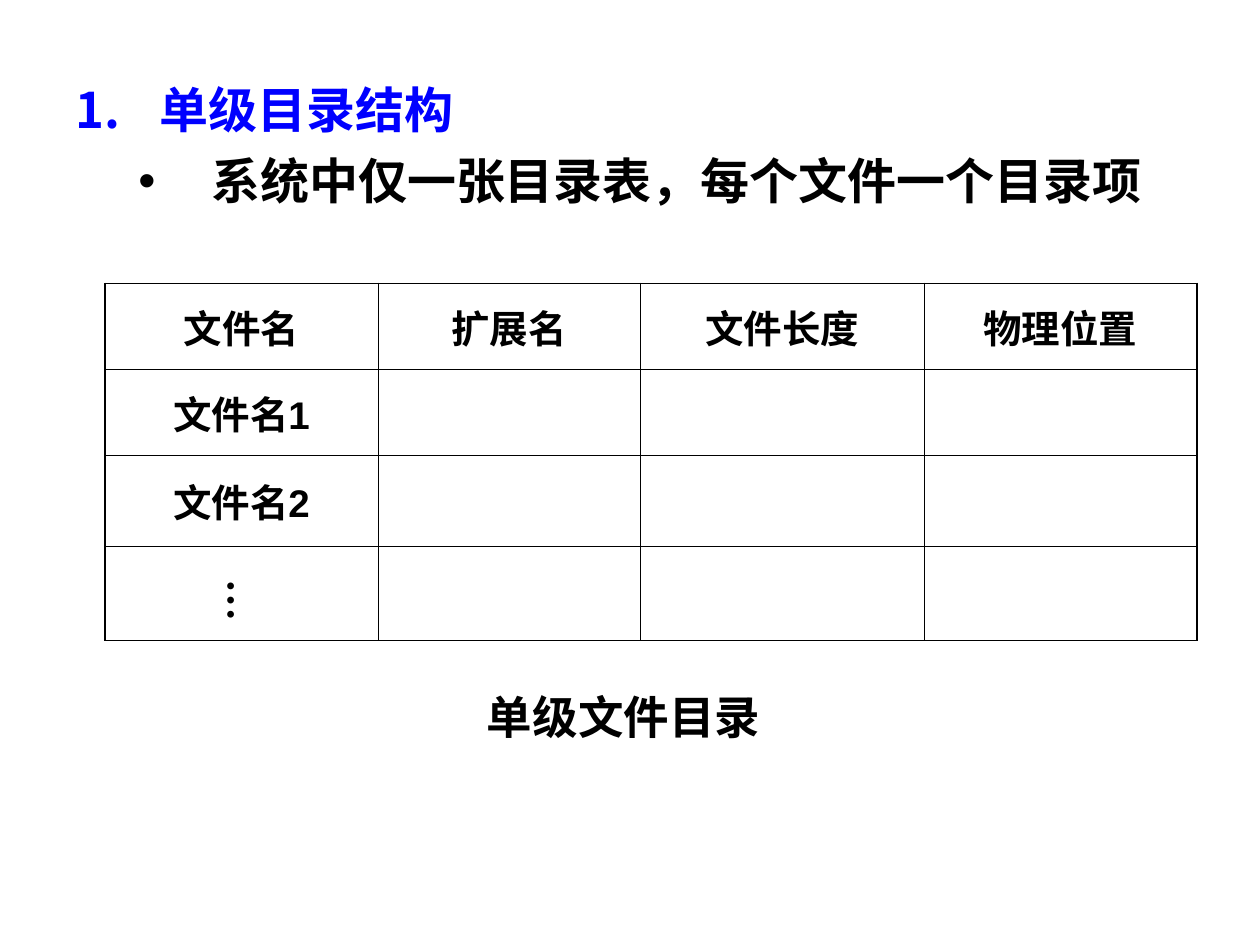
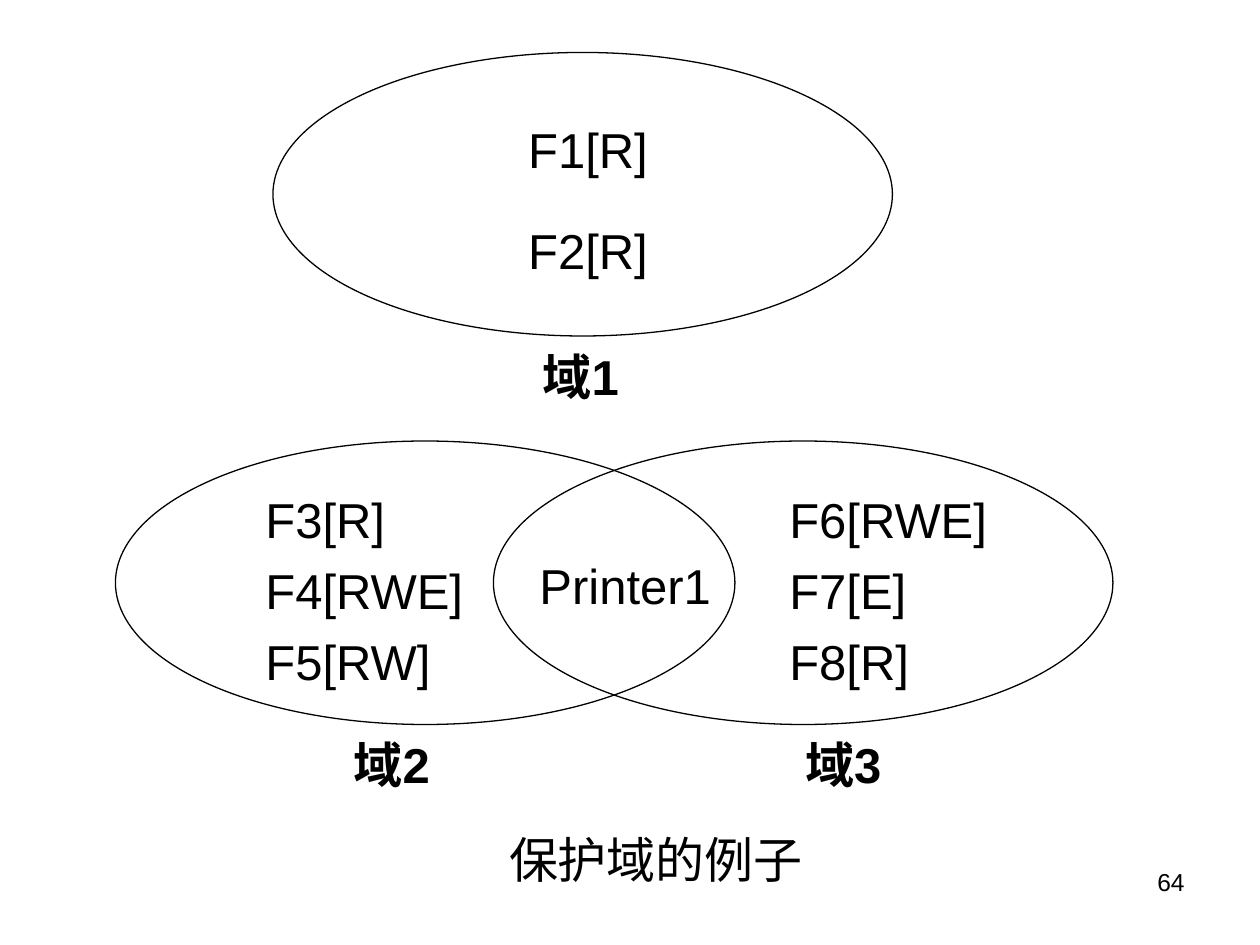
from lxml.etree import SubElement
from pptx import Presentation
from pptx.dml.color import RGBColor
from pptx.enum.lang import MSO_LANGUAGE_ID
from pptx.enum.shapes import MSO_SHAPE
from pptx.enum.text import MSO_ANCHOR, MSO_AUTO_SIZE, PP_ALIGN
from pptx.oxml.ns import qn
from pptx.util import Emu, Inches, Pt

COLORS = {"ink": "000000", "heading": "0000FF"}
UNIT = Inches(1) / 12  # the slide is a grid of 120 columns by 90 rows
SLIDE_COLUMNS, SLIDE_ROWS = 120, 90
LINE_HEIGHT = 6.2  # rows taken by a one-line label

FONT = {"name": "Arial", "size": Pt(28), "bold": False,
        "language_id": MSO_LANGUAGE_ID.SIMPLIFIED_CHINESE}
BOLD = {**FONT, "bold": True}
TABLE_FONT = {**BOLD, "size": Pt(22)}
PAGE_FONT = {**FONT, "size": Pt(14)}
CAPTION_FONT = {**BOLD, "name": "Times New Roman", "size": Pt(26)}
DOTS_FONT = {**CAPTION_FONT, "size": Pt(24)}

SPACED = {"space_before": Pt(7)}
LABEL = {**SPACED, "line_spacing": 0.9}
OPEN_CENTRED = {**SPACED, "line_spacing": 1.5, "alignment": PP_ALIGN.CENTER}
CELL_TEXT = {"space_before": Pt(5.5), "alignment": PP_ALIGN.CENTER}
RIGHT = {"alignment": PP_ALIGN.RIGHT}

THIN, THICK = Pt(0.45), Pt(1.08)


def grid(*lengths):
    return [Emu(round(length * UNIT)) for length in lengths]


def set_formats(target, formats):
    for name, value in formats.items():
        setattr(target, name, value)


def write(paragraph, text, font, layout, color="ink"):
    run = paragraph.add_run()
    run.text = text
    set_formats(run.font, font)
    run.font.color.rgb = RGBColor.from_string(COLORS[color])
    set_formats(paragraph, layout)


def add_text(shapes, box, lines, font, layout, wrap=False):
    """Place a text box with one paragraph for each line."""
    shape = shapes.add_textbox(*grid(*box))
    frame = shape.text_frame
    frame.word_wrap = wrap
    frame.auto_size = MSO_AUTO_SIZE.NONE if wrap else MSO_AUTO_SIZE.SHAPE_TO_FIT_TEXT
    for index, line in enumerate(lines):
        paragraph = frame.add_paragraph() if index else frame.paragraphs[0]
        write(paragraph, line, font, layout)
    return shape


def add_bullet(paragraph, color, margin, indent, tag, **attributes):
    properties = paragraph._p.get_or_add_pPr()
    properties.set("marL", str(Inches(margin)))
    properties.set("indent", str(Inches(indent)))
    bullet_color = SubElement(properties, qn("a:buClr"))
    SubElement(bullet_color, qn("a:srgbClr"), val=COLORS[color])
    SubElement(properties, qn("a:buFont"), typeface=FONT["name"])
    SubElement(properties, qn(tag), **attributes)


def set_borders(cell, widths):
    properties = cell._tc.get_or_add_tcPr()
    for position, (side, width) in enumerate(widths.items()):
        line = properties.makeelement(qn(f"a:ln{side}"), {"w": str(width)})
        fill = SubElement(line, qn("a:solidFill"))
        SubElement(fill, qn("a:srgbClr"), val=COLORS["ink"])
        properties.insert(position, line)


# Heading with its bullet
def place_heading(slide, box):
    frame = add_text(slide.shapes, box, [], FONT, {}, wrap=True).text_frame
    heading = frame.paragraphs[0]
    write(heading, "单级目录结构", BOLD, SPACED, "heading")
    add_bullet(heading, "heading", 0.67, -0.67, "a:buAutoNum", type="arabicPeriod")
    point = frame.add_paragraph()
    write(point, "系统中仅一张目录表，每个文件一个目录项", BOLD, {**SPACED, "level": 1})
    add_bullet(point, "ink", 1.08, -0.58, "a:buChar", char="•")


# Directory table, with a vertical ellipsis over its last row
def place_directory_table(slide, left, top):
    column_widths = [26, 25, 27, 26]
    row_heights = [8.2, 8.2, 8.6, 9]
    texts = [["文件名", "扩展名", "文件长度", "物理位置"],
             ["文件名1"], ["文件名2"], []]
    row_count, column_count = len(row_heights), len(column_widths)
    box = grid(left, top, sum(column_widths), sum(row_heights))
    table = slide.shapes.add_table(row_count, column_count, *box).table
    table.first_row = table.horz_banding = False
    for column, width in zip(table.columns, grid(*column_widths)):
        column.width = width
    for row, height in zip(table.rows, grid(*row_heights)):
        row.height = height

    for row in range(row_count):
        for column in range(column_count):
            cell = table.cell(row, column)
            cell.fill.background()
            cell.vertical_anchor = MSO_ANCHOR.MIDDLE
            if column < len(texts[row]):
                write(cell.text_frame.paragraphs[0], texts[row][column],
                      TABLE_FONT, CELL_TEXT)
            outer = {"L": column == 0, "R": column == column_count - 1,
                     "T": row == 0, "B": row == row_count - 1}
            set_borders(cell, {side: THICK if edge else THIN
                               for side, edge in outer.items()})

    dots = add_text(slide.shapes, (left + 9.1, top + 27, 7.2, 5.3), ["…"],
                    DOTS_FONT, {})
    dots.element.txBody.bodyPr.set("vert", "eaVert")
    narrow, wide = Inches(0.05), Inches(0.1)
    set_formats(dots.text_frame, {"margin_left": narrow, "margin_right": narrow,
                                  "margin_top": wide, "margin_bottom": wide})


# Protection domain: ellipse, its access rights and the name below
def place_domain(slide, left, top, rights, rights_box, layout, name, name_offset):
    shapes = slide.shapes.add_group_shape().shapes
    ellipse = shapes.add_shape(MSO_SHAPE.OVAL, *grid(left, top, 59, 27))
    ellipse.shadow.inherit = False
    ellipse.fill.background()
    ellipse.line.width = Pt(0.75)
    ellipse.line.color.rgb = RGBColor.from_string(COLORS["ink"])
    across, down, width, height = rights_box
    add_text(shapes, (left + across, top + down, width, height), rights, FONT, layout)
    add_text(slide.shapes, (left + name_offset, top + 28, 10.8, LINE_HEIGHT),
             [name], BOLD, LABEL)


def build_directory_slide(slide):
    place_directory_table(slide, 10, 27)
    add_text(slide.shapes, (45.2, 65, 28.4, 6.5), ["单级文件目录"], CAPTION_FONT, {})
    place_heading(slide, (6, 7, 108, 16))


def build_domain_slide(slide):
    place_domain(slide, 26, 5, ["F1[R]", "F2[R]"], (23.1, 3, 13.8, 19.2),
                 OPEN_CENTRED, "域1", 24.5)
    place_domain(slide, 11, 42, ["F3[R]", "F4[RWE]", "F5[RW]"], (13.1, 4, 21.2, 20.4),
                 SPACED, "域2", 21.5)
    place_domain(slide, 47, 42, ["F6[RWE]", "F7[E]", "F8[R]"], (27, 4, 21.2, 20.4),
                 SPACED, "域3", 28.5)
    # Shared device, caption and page number
    add_text(slide.shapes, (50.2, 53, 18.7, LINE_HEIGHT), ["Printer1"], FONT, LABEL)
    add_text(slide.shapes, (47.3, 79, 30.4, LINE_HEIGHT), ["保护域的例子"], FONT, LABEL)
    add_text(slide.shapes, (86, 82, 28, LINE_HEIGHT), ["64"], PAGE_FONT, RIGHT, wrap=True)


def main():
    presentation = Presentation()
    presentation.slide_width, presentation.slide_height = grid(SLIDE_COLUMNS, SLIDE_ROWS)
    blank_layout = presentation.slide_layouts[6]
    for build in (build_directory_slide, build_domain_slide):
        build(presentation.slides.add_slide(blank_layout))
    presentation.save("out.pptx")


if __name__ == "__main__":
    main()
